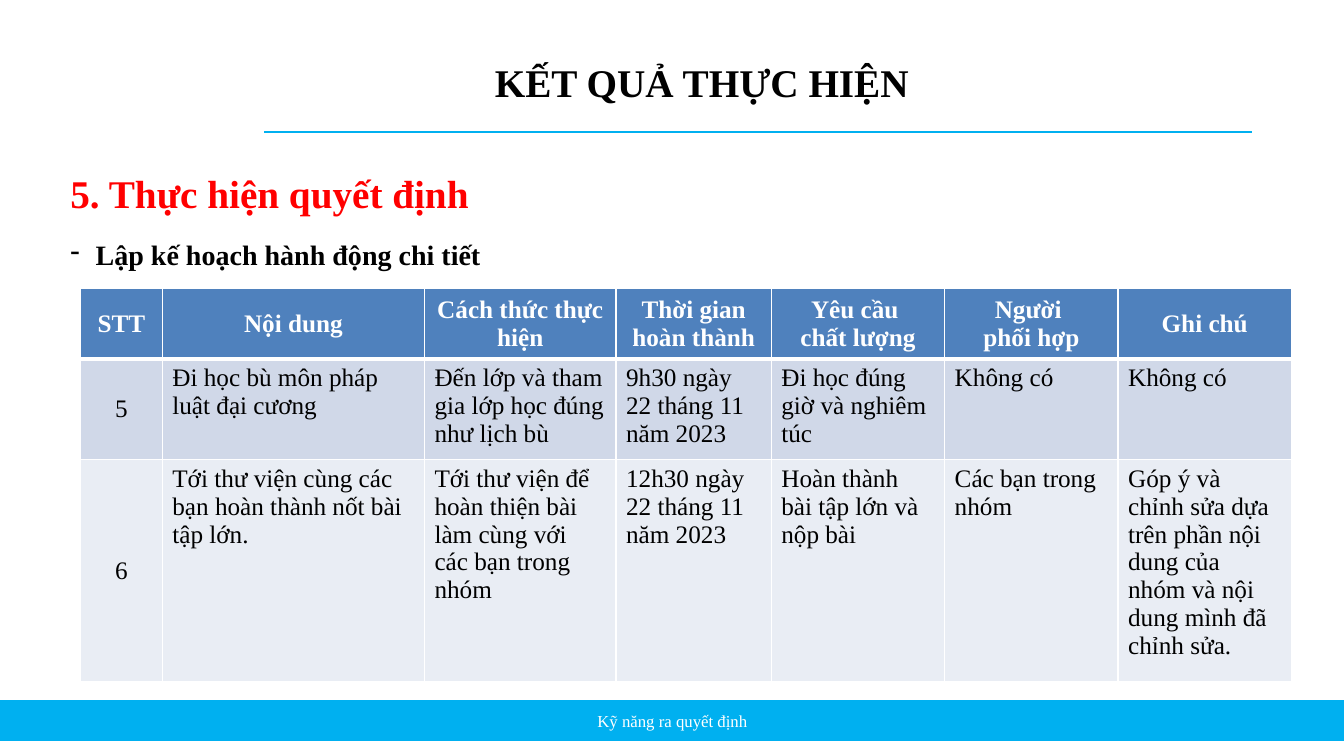
from dataclasses import dataclass

from lxml.etree import SubElement
from pptx import Presentation
from pptx.dml.color import RGBColor
from pptx.enum.shapes import MSO_CONNECTOR, MSO_SHAPE
from pptx.enum.text import MSO_ANCHOR, PP_ALIGN
from pptx.oxml import parse_xml
from pptx.oxml.ns import nsdecls, qn
from pptx.util import Inches, Pt


@dataclass(frozen=True)
class Theme:
    font: str = "Times New Roman"
    accent: str = "00B0F0"
    heading: str = "FF0000"
    ink: str = "000000"
    white: str = "FFFFFF"
    header_fill: str = "4F81BD"
    row_fills: tuple[str, ...] = ("D0D8E8", "E9EDF4")
    title_size: int = 28
    subtitle_size: int = 20
    table_size: int = 18
    footer_size: int = 12


@dataclass(frozen=True)
class Column:
    heading: str
    width: float
    entries: tuple[str, str]


@dataclass(frozen=True)
class Line:
    text: str
    size: int
    color: str
    space_before: int


THEME = Theme()

PLAN = (
    Column("STT", 0.81, ("5", "6")),
    Column("Nội dung", 2.6, (
        "Đi học bù môn pháp luật đại cương",
        "Tới thư viện cùng các bạn hoàn thành nốt bài tập lớn.")),
    Column("Cách thức thực hiện", 1.9, (
        "Đến lớp và tham gia lớp học đúng như lịch bù",
        "Tới thư viện để hoàn thiện bài làm cùng với các bạn trong nhóm")),
    Column("Thời gian hoàn thành", 1.54, (
        "9h30 ngày 22 tháng 11 năm 2023",
        "12h30 ngày 22 tháng 11 năm 2023")),
    Column("Yêu cầu \nchất lượng", 1.72, (
        "Đi học đúng giờ và nghiêm túc",
        "Hoàn thành bài tập lớn và nộp bài")),
    Column("Người \nphối hợp", 1.72, ("Không có", "Các bạn trong nhóm")),
    Column("Ghi chú", 1.72, (
        "Không có",
        "Góp ý và chỉnh sửa dựa trên phần nội dung của nhóm "
        "và nội dung mình đã chỉnh sửa.")),
)
ROW_HEIGHTS = (0.65, 0.93, 2.04)

DECISION_LINES = (
    Line("5. Thực hiện quyết định", THEME.title_size, THEME.heading, 4),
    Line("Lập kế hoạch hành động chi tiết", THEME.subtitle_size, THEME.ink, 3),
)


def rgb(color: str) -> RGBColor:
    return RGBColor.from_string(color)


def add_run(paragraph, text: str, size: int, color: str, bold: bool = False) -> None:
    run = paragraph.add_run()
    run.text = text
    run.font.name = THEME.font
    run.font.size = Pt(size)
    run.font.bold = bold
    run.font.color.rgb = rgb(color)


def add_dash(paragraph) -> None:
    properties = paragraph._p.get_or_add_pPr()
    properties.set("marL", str(Inches(0.25)))
    properties.set("indent", str(Inches(-0.25)))
    SubElement(properties, qn("a:buChar"), char="-")


def set_borders(cell, top: int, bottom: int) -> None:
    widths = {"lnL": 1, "lnR": 1, "lnT": top, "lnB": bottom}
    for position, (side, width) in enumerate(widths.items()):
        border = parse_xml(
            f'<a:{side} {nsdecls("a")} w="{Pt(width)}"><a:solidFill>'
            f'<a:srgbClr val="{THEME.white}"/></a:solidFill></a:{side}>')
        cell._tc.get_or_add_tcPr().insert(position, border)


def fill_cell(cell, text: str, row: int, centered: bool) -> None:
    is_header = row == 0
    cell.fill.solid()
    cell.fill.fore_color.rgb = rgb(
        THEME.header_fill if is_header else THEME.row_fills[row - 1])
    cell.vertical_anchor = MSO_ANCHOR.MIDDLE if centered else MSO_ANCHOR.TOP
    for index, part in enumerate(text.split("\n")):
        frame = cell.text_frame
        paragraph = frame.add_paragraph() if index else frame.paragraphs[0]
        paragraph.alignment = PP_ALIGN.CENTER if centered else PP_ALIGN.LEFT
        add_run(paragraph, part, THEME.table_size,
                THEME.white if is_header else THEME.ink, is_header)
    set_borders(cell, top=3 if row == 1 else 1, bottom=3 if is_header else 1)


def add_plan_table(slide) -> None:
    width = sum(column.width for column in PLAN)
    table = slide.shapes.add_table(
        len(ROW_HEIGHTS), len(PLAN), Inches(0.8), Inches(2.86),
        Inches(width), Inches(sum(ROW_HEIGHTS))).table
    for row, height in zip(table.rows, ROW_HEIGHTS):
        row.height = Inches(height)
    for column_index, column in enumerate(PLAN):
        table.columns[column_index].width = Inches(column.width)
        for row_index, text in enumerate((column.heading, *column.entries)):
            fill_cell(table.cell(row_index, column_index), text, row_index,
                      centered=row_index == 0 or column_index == 0)


def add_footer_bar(slide) -> None:
    bar = slide.shapes.add_shape(
        MSO_SHAPE.RECTANGLE, 0, Inches(6.95), Inches(13.33), Inches(0.4))
    bar.shadow.inherit = False
    bar.fill.solid()
    bar.fill.fore_color.rgb = rgb(THEME.accent)
    bar.line.color.rgb = rgb(THEME.accent)
    bar.line.width = Pt(1)


def add_title_rule(slide) -> None:
    rule = slide.shapes.add_connector(
        MSO_CONNECTOR.STRAIGHT, Inches(2.62), Inches(1.31), Inches(12.42), Inches(1.31))
    rule.line.color.rgb = rgb(THEME.accent)
    rule.line.width = Pt(1.5)
    SubElement(rule._element.spPr, qn("a:effectLst"))


def set_title(slide) -> None:
    title = slide.shapes.title
    title.left, title.top = Inches(1.75), Inches(0.39)
    title.width, title.height = Inches(10.42), Inches(0.91)
    title.text_frame.vertical_anchor = MSO_ANCHOR.MIDDLE
    paragraph = title.text_frame.paragraphs[0]
    paragraph.alignment = PP_ALIGN.CENTER
    paragraph.line_spacing = 0.9
    add_run(paragraph, "KẾT QUẢ THỰC HIỆN", THEME.title_size, THEME.ink, True)


def add_decision_text(slide) -> None:
    frame = slide.shapes.add_textbox(
        Inches(0.6), Inches(1.4), Inches(12.42), Inches(5.36)).text_frame
    frame.word_wrap = True
    for index, line in enumerate(DECISION_LINES):
        paragraph = frame.add_paragraph() if index else frame.paragraphs[0]
        paragraph.line_spacing = 1.5
        paragraph.space_before = Pt(line.space_before)
        add_run(paragraph, line.text, line.size, line.color, True)
    add_dash(frame.paragraphs[-1])


def add_footer_text(slide) -> None:
    frame = slide.shapes.add_textbox(
        Inches(4.42), Inches(6.95), Inches(4.5), Inches(0.4)).text_frame
    frame.word_wrap = True
    frame.vertical_anchor = MSO_ANCHOR.MIDDLE
    paragraph = frame.paragraphs[0]
    paragraph.alignment = PP_ALIGN.CENTER
    add_run(paragraph, "Kỹ năng ra quyết định", THEME.footer_size, THEME.white)


def main() -> None:
    deck = Presentation()
    deck.slide_width, deck.slide_height = Inches(13.33), Inches(7.5)
    slide = deck.slides.add_slide(deck.slide_layouts.get_by_name("Title Only"))

    # Frame of the slide
    add_footer_bar(slide)
    add_title_rule(slide)

    # Content
    set_title(slide)
    add_decision_text(slide)
    add_footer_text(slide)
    add_plan_table(slide)

    deck.save("out.pptx")


if __name__ == "__main__":
    main()
